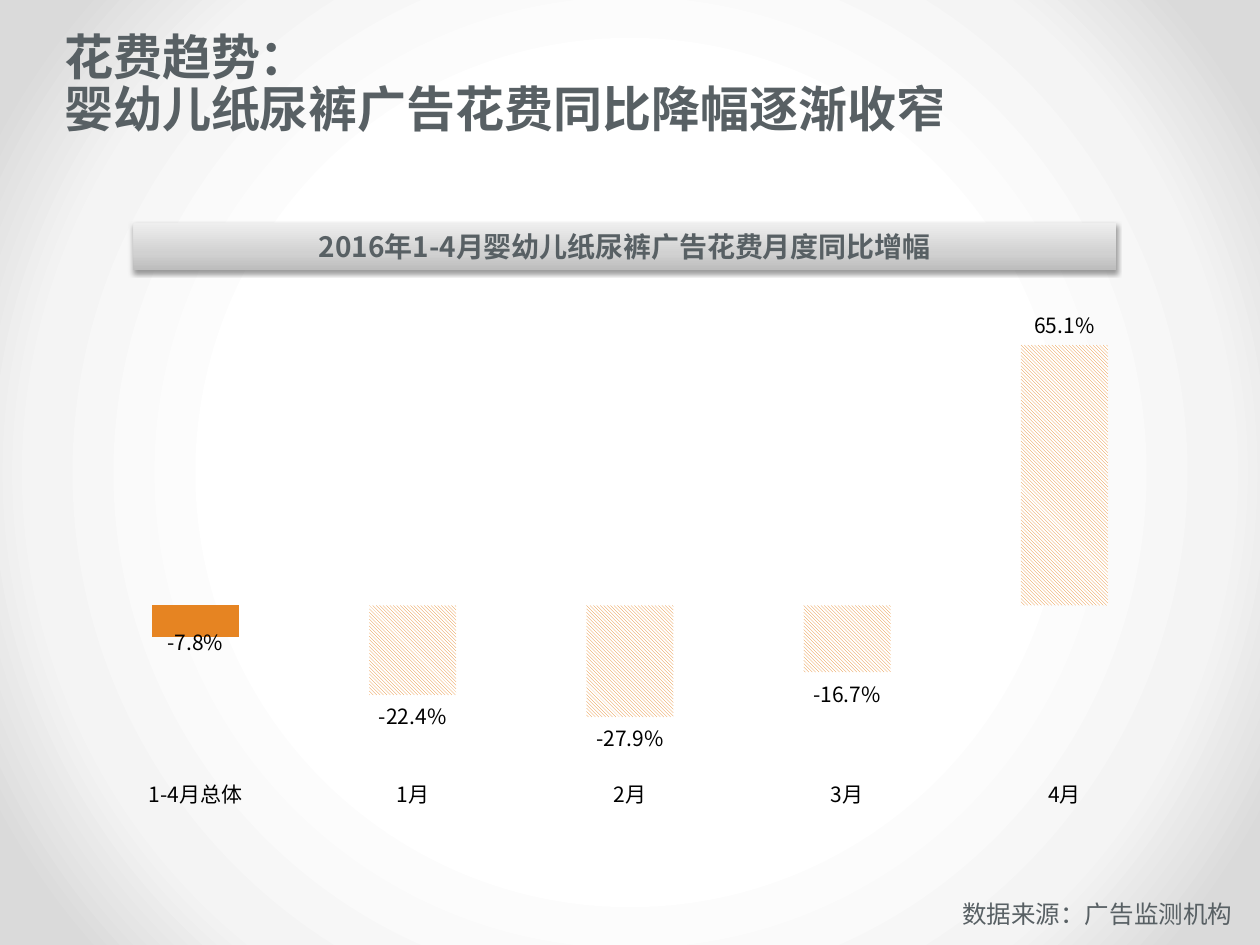
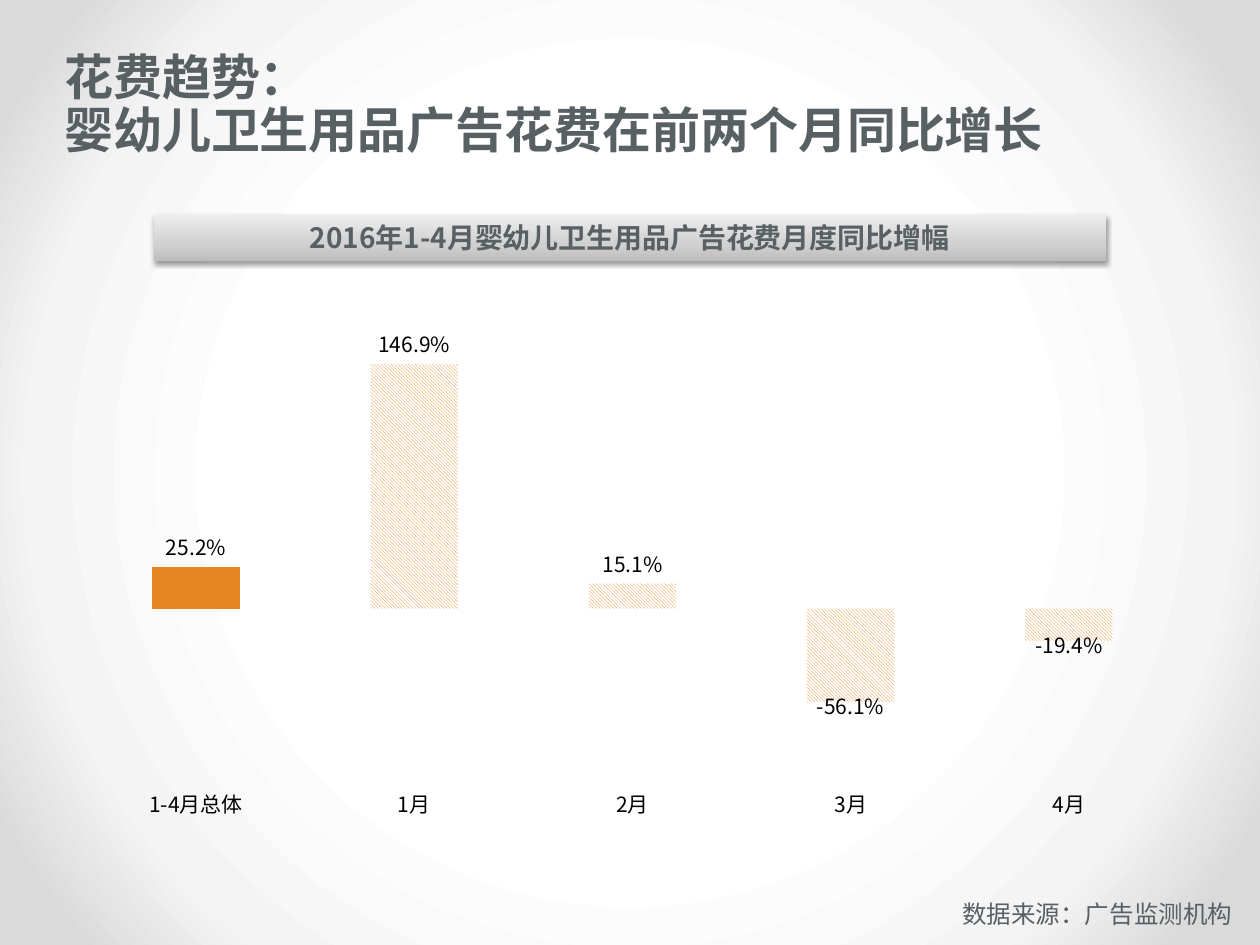
from lxml import etree
from pptx import Presentation
from pptx import util as u
from pptx.chart.data import CategoryChartData
from pptx.dml.color import RGBColor
from pptx.enum import chart as ch, dml, shapes, text
from pptx.oxml import parse_xml
from pptx.oxml.ns import nsdecls, qn

HUES = {"ink": "586064", "bar": "E68422", "back": "FFFFFF", "black": "000000"}
GLOW = [(50, "FFFFFF"), (76, "F4F4F4"), (92, "DADADA")]
STEEL = [(0, "BDBDBD"), (35, "D1D1D1"), (100, "EEEEEE")]
SANS, HEAD, SERIF = "Noto Sans CJK SC", "Montserrat", "TeX Gyre Pagella"
PCT = "0.0%"
MONTHS = ["1-4月总体", "1月", "2月", "3月", "4月"]
SOURCE = "数据来源：广告监测机构"
FOOT = (6.18, 7.14, 3.7, 0.28)

# Boxes are left, top, width, height; "near" lists bars with a raised label.
SLIDES = [
    {"title": "花费趋势：\n婴幼儿纸尿裤广告花费同比降幅逐渐收窄",
     "band": "2016年1-4月婴幼儿纸尿裤广告花费月度同比增幅",
     "vals": [-0.078, -0.224, -0.279, -0.167, 0.651], "near": [0],
     "title_box": (0.41, 0.49, 9.12, 0.66),
     "band_box": (1.06, 1.77, 7.8, 0.37),
     "chart_box": (0.51, 2.18, 8.98, 4.33)},
    {"title": "花费趋势：\n婴幼儿卫生用品广告花费在前两个月同比增长",
     "band": "2016年1-4月婴幼儿卫生用品广告花费月度同比增幅",
     "vals": [0.252, 1.469, 0.151, -0.561, -0.194], "near": [3, 4],
     "title_box": (0.41, 0.36, 9.12, 0.95),
     "band_box": (1.22, 1.7, 7.56, 0.37),
     "chart_box": (0.51, 2.1, 9.02, 4.49)},
]


def rgb(name):
    return RGBColor.from_string(HUES[name])


def inches(box):
    return [u.Inches(n) for n in box]


def blend(fill, parent, stops, shade):
    """Swap the parent's solid fill for a gradient of the given stops."""
    fill.solid()
    marks = "".join(f'<a:gs pos="{at * 1000}"><a:srgbClr val="{hue}"/></a:gs>'
                    for at, hue in stops)
    old = parent.find(".//" + qn("a:solidFill"))
    old.getparent().replace(old, parse_xml(
        f'<a:gradFill {nsdecls("a")} rotWithShape="1">'
        f'<a:gsLst>{marks}</a:gsLst>{shade}</a:gradFill>'))


def style(frame, size, face, align, bold=False, space=None):
    frame.word_wrap = True
    for par in frame.paragraphs:
        par.alignment = align
        par.line_spacing = space
        for run in par.runs:
            font = run.font
            font.size, font.name, font.bold = u.Pt(size), face, bold
            font.color.rgb = rgb("ink")
            east = etree.SubElement(font._element, qn("a:ea"))
            east.set("typeface", SANS)


def add_title(slide, words, box):
    title = slide.shapes.title
    title.left, title.top, title.width, title.height = inches(box)
    frame = title.text_frame
    frame.text = words
    frame.auto_size = text.MSO_AUTO_SIZE.NONE
    frame.vertical_anchor = text.MSO_ANCHOR.BOTTOM
    style(frame, 28, HEAD, text.PP_ALIGN.LEFT, True, 0.9)


def add_band(slide, words, box):
    band = slide.shapes.add_shape(shapes.MSO_SHAPE.RECTANGLE, *inches(box))
    blend(band.fill, band._element.spPr, STEEL, '<a:lin ang="16200000" scaled="0"/>')
    band.line.fill.background()
    band.shadow.inherit = False
    band._element.spPr.find(qn("a:effectLst")).append(parse_xml(
        f'<a:outerShdw {nsdecls("a")} blurRad="40000" dist="20000" dir="5400000" '
        f'rotWithShape="0"><a:srgbClr val="{HUES["black"]}">'
        '<a:alpha val="38000"/></a:srgbClr></a:outerShdw>'))
    frame = band.text_frame
    frame.text = words
    frame.vertical_anchor = text.MSO_ANCHOR.TOP
    frame.auto_size = text.MSO_AUTO_SIZE.SHAPE_TO_FIT_TEXT
    style(frame, 16, SANS, text.PP_ALIGN.CENTER, True)


def hatch(fill):
    fill.patterned()
    fill.pattern = dml.MSO_PATTERN.DARK_DOWNWARD_DIAGONAL
    fill.fore_color.rgb, fill.back_color.rgb = rgb("bar"), rgb("back")


def small(font):
    font.size, font.name = u.Pt(12), SANS
    font.color.rgb = rgb("black")


def lift(bars, spot):
    """Raise one bar's label towards the bar."""
    label = bars.points[spot].data_label
    small(label.font)
    label.position = ch.XL_LABEL_POSITION.OUTSIDE_END
    mark = bars._element.xpath(f'c:dLbls/c:dLbl/c:idx[@val="{spot}"]')[0]
    mark.addnext(parse_xml(
        f'<c:numFmt {nsdecls("c")} formatCode="{PCT}" sourceLinked="0"/>'))
    mark.addnext(parse_xml(
        f'<c:layout {nsdecls("c")}><c:manualLayout>'
        '<c:x val="0"/><c:y val="-0.03"/></c:manualLayout></c:layout>'))


def add_bars(slide, vals, near, box):
    data = CategoryChartData(number_format=PCT)
    data.categories = MONTHS
    data.add_series("Series 1", vals)
    chart = slide.shapes.add_chart(
        ch.XL_CHART_TYPE.COLUMN_CLUSTERED, *inches(box), data).chart
    chart.has_legend = chart.has_title = False
    chart.font.size, chart.font.name = u.Pt(18), SERIF
    chart.font.color.rgb = rgb("black")

    axis = chart.category_axis
    axis.tick_label_position = ch.XL_TICK_LABEL_POSITION.LOW
    axis.major_tick_mark = axis.minor_tick_mark = ch.XL_TICK_MARK.NONE
    axis.format.line.fill.background()
    small(axis.tick_labels.font)
    chart.value_axis.visible = False
    chart.value_axis.has_major_gridlines = False

    plot = chart.plots[0]
    plot.gap_width, plot.overlap, plot.vary_by_categories = 150, -25, False
    bars = plot.series[0]
    bars.invert_if_negative = False
    hatch(bars.format.fill)
    total = bars.points[0].format.fill
    total.solid()
    total.fore_color.rgb = rgb("bar")

    labels = bars.data_labels
    labels.show_value = True
    labels.number_format, labels.number_format_is_linked = PCT, False
    labels.position = ch.XL_LABEL_POSITION.OUTSIDE_END
    small(labels.font)
    for spot in near:
        lift(bars, spot)


def add_foot(slide):
    frame = slide.shapes.add_textbox(*inches(FOOT)).text_frame
    frame.text = SOURCE
    style(frame, 14, SANS, text.PP_ALIGN.RIGHT, space=u.Pt(13))


def main():
    deck = Presentation()
    deck.slide_width, deck.slide_height = u.Inches(10), u.Inches(7.5)
    master = deck.slide_master
    blend(master.background.fill, master._element.cSld.find(qn("p:bg")), GLOW,
          '<a:path path="circle"><a:fillToRect l="50000" t="50000" '
          'r="50000" b="50000"/></a:path>')
    for page in SLIDES:
        slide = deck.slides.add_slide(deck.slide_layouts[5])
        add_title(slide, page["title"], page["title_box"])
        add_band(slide, page["band"], page["band_box"])
        add_bars(slide, page["vals"], page["near"], page["chart_box"])
        add_foot(slide)
    deck.save("out.pptx")


if __name__ == "__main__":
    main()
